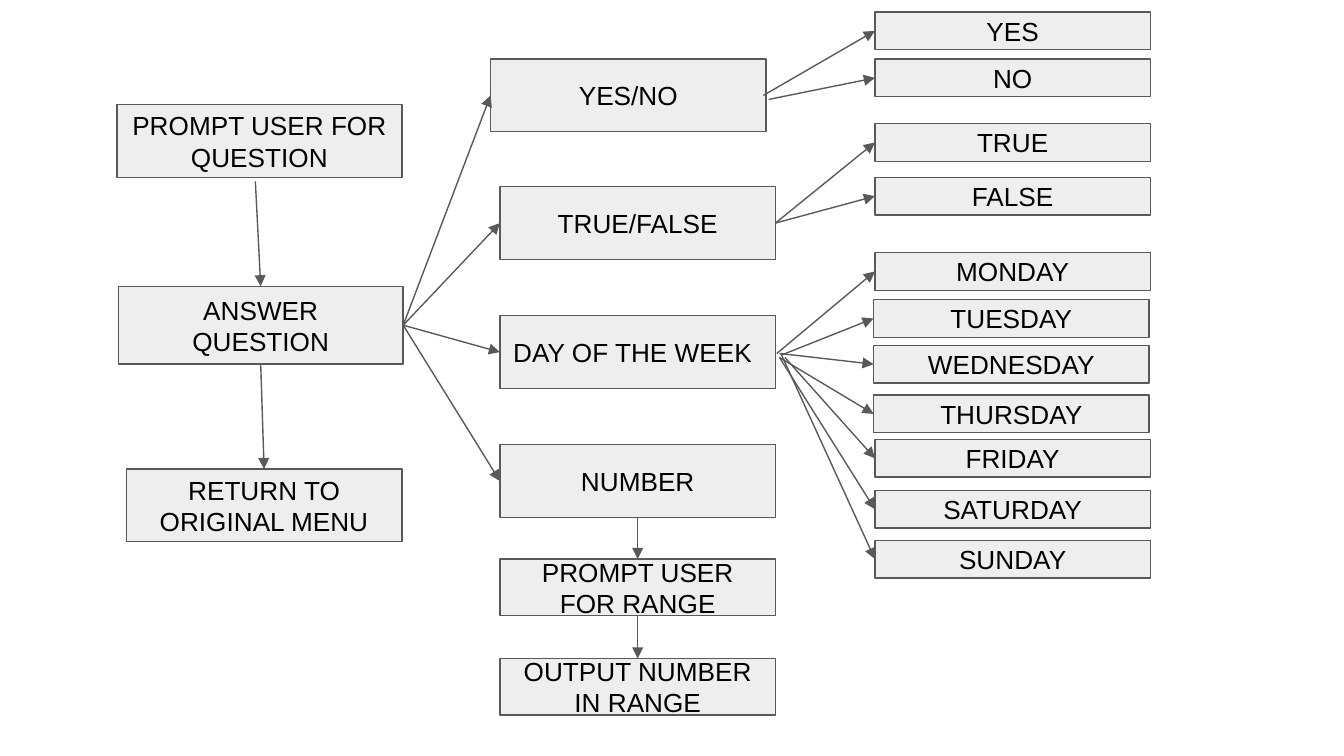
from pptx import Presentation
from pptx.dml.color import RGBColor
from pptx.enum.shapes import MSO_CONNECTOR, MSO_SHAPE
from pptx.enum.text import MSO_ANCHOR, PP_ALIGN
from pptx.oxml.ns import qn
from pptx.util import Inches, Pt
from lxml.etree import SubElement

COLORS = {"box": "EEEEEE", "line": "595959", "text": "000000"}
TOP, LEFT, BOTTOM, RIGHT = range(4)  # connection sites of a rectangle

prs = Presentation()
prs.slide_width, prs.slide_height = Inches(10), Inches(10 * 9 / 16)
slide = prs.slides.add_slide(prs.slide_layouts[6])
steps = {}


def add_step(label, left, top, width, height):
    step = slide.shapes.add_shape(
        MSO_SHAPE.RECTANGLE, Inches(left), Inches(top), Inches(width), Inches(height))
    step.shadow.inherit = False
    step.fill.solid()
    step.fill.fore_color.rgb = RGBColor.from_string(COLORS["box"])
    step.line.color.rgb = RGBColor.from_string(COLORS["line"])
    step.line.width = Pt(0.75)
    frame = step.text_frame
    frame.word_wrap = True
    frame.vertical_anchor = MSO_ANCHOR.MIDDLE
    frame.margin_left = frame.margin_right = Inches(0.1)
    frame.margin_top = frame.margin_bottom = Inches(0.1)
    paragraph = frame.paragraphs[0]
    paragraph.alignment = PP_ALIGN.LEFT if label == "DAY OF THE WEEK" else PP_ALIGN.CENTER
    run = paragraph.add_run()
    run.text = label
    run.font.name = "Arial"
    run.font.size = Pt(14)
    run.font.color.rgb = RGBColor.from_string(COLORS["text"])
    steps[label] = step


def add_arrow(target, target_site, start=(0, 0), source=None, source_site=None):
    x, y = Inches(start[0]), Inches(start[1])
    arrow = slide.shapes.add_connector(MSO_CONNECTOR.STRAIGHT, x, y, x, y)
    if source:
        arrow.begin_connect(steps[source], source_site)
    arrow.end_connect(steps[target], target_site)
    arrow.line.color.rgb = RGBColor.from_string(COLORS["line"])
    arrow.line.width = Pt(0.75)
    properties = arrow._element.spPr
    SubElement(properties.find(qn("a:ln")), qn("a:tailEnd"), type="triangle")
    SubElement(properties, qn("a:effectLst"))


# Main flow
add_step("PROMPT USER FOR QUESTION", 0.87, 0.78, 2.12, 0.54)
add_step("ANSWER QUESTION", 0.88, 2.13, 2.12, 0.58)
add_step("RETURN TO ORIGINAL MENU", 0.94, 3.49, 2.05, 0.54)

# Question types
question_types = [("YES/NO", 3.65, 0.44), ("TRUE/FALSE", 3.72, 1.39),
                  ("DAY OF THE WEEK", 3.72, 2.35), ("NUMBER", 3.72, 3.31)]
for label, left, top in question_types:
    add_step(label, left, top, 2.05, 0.54)

# Number range steps
for label, top in [("PROMPT USER FOR RANGE", 4.16), ("OUTPUT NUMBER IN RANGE", 4.9)]:
    add_step(label, 3.72, top, 2.05, 0.42)

# Possible answers, each with the start of its arrow
answers = [
    ("YES", 6.51, 0.09, (5.68, 0.71)),
    ("NO", 6.51, 0.44, (5.72, 0.74)),
    ("TRUE", 6.51, 0.92, (5.77, 1.66)),
    ("FALSE", 6.51, 1.32, (5.77, 1.66)),
    ("MONDAY", 6.51, 1.88, (5.78, 2.63)),
    ("TUESDAY", 6.5, 2.23, (5.82, 2.64)),
    ("WEDNESDAY", 6.5, 2.57, (5.8, 2.63)),
    ("THURSDAY", 6.5, 2.94, (5.8, 2.66)),
    ("FRIDAY", 6.51, 3.27, (5.84, 2.66)),
    ("SATURDAY", 6.51, 3.65, (5.8, 2.66)),
    ("SUNDAY", 6.51, 4.02, (5.81, 2.63)),
]
for label, left, top, start in answers:
    add_step(label, left, top, 2.05, 0.28)
    add_arrow(label, LEFT, start=start)

# Arrows from the answer step to each question type
for label, left, top in question_types:
    add_arrow(label, LEFT, source="ANSWER QUESTION", source_site=RIGHT)

# Downward arrows
add_arrow("ANSWER QUESTION", TOP, start=(1.9, 1.35))
for source, target in [("ANSWER QUESTION", "RETURN TO ORIGINAL MENU"),
                       ("NUMBER", "PROMPT USER FOR RANGE"),
                       ("PROMPT USER FOR RANGE", "OUTPUT NUMBER IN RANGE")]:
    add_arrow(target, TOP, source=source, source_site=BOTTOM)

prs.save("out.pptx")
